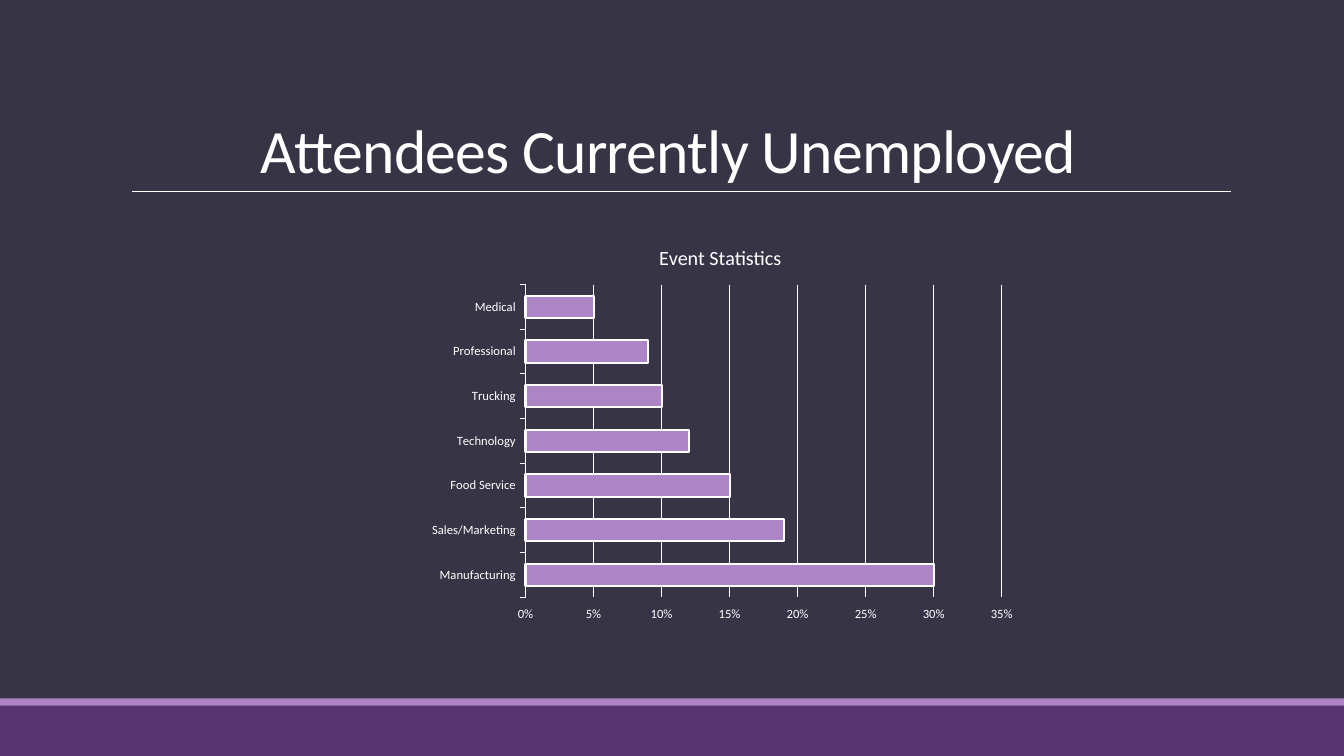
from pptx import Presentation
from pptx import util as u
from pptx.chart.data import CategoryChartData
from pptx.dml.color import RGBColor
from pptx.enum import chart as ch, shapes, text
from pptx.oxml.ns import qn
from lxml import etree

PX = 9525  # EMU per px, slide of 1280 x 720
FONT = "Calibri"
HEX = {"back": "373545", "band": "5A3471", "bar": "AD84C6", "ink": "FFFFFF"}
DATA = {
    "Manufacturing": 0.3,
    "Sales/Marketing": 0.19,
    "Food Service": 0.15,
    "Technology": 0.12,
    "Trucking": 0.1,
    "Professional": 0.09,
    "Medical": 0.05,
}


def px(*sizes):
    return [u.Emu(n * PX) for n in sizes]


def tint(name):
    return RGBColor.from_string(HEX[name])


def paint(fill, name):
    fill.solid()
    fill.fore_color.rgb = tint(name)


def stroke(line, width):
    paint(line.fill, "ink")
    line.width = u.Pt(width)


def assign(item, **values):
    for key, value in values.items():
        setattr(item, key, value)


def style(font, size):
    assign(font, name=FONT, size=u.Pt(size), bold=False)
    font.color.rgb = tint("ink")


def add_band(slide, top, high, name):
    band = slide.shapes.add_shape(
        shapes.MSO_SHAPE.RECTANGLE, *px(0, top, 1280, high))
    band.shadow.inherit = False
    paint(band.fill, name)
    band.line.fill.background()


def add_rule(slide, left, right, top):
    rule = slide.shapes.add_connector(
        shapes.MSO_CONNECTOR.STRAIGHT, *px(left, top, right, top))
    stroke(rule.line, 0.5)
    etree.SubElement(rule._element.spPr, qn("a:effectLst"))


def set_title(slide, words, box):
    title = slide.shapes.title
    assign(title, **dict(zip(("left", "top", "width", "height"), px(*box))))
    frame = title.text_frame
    assign(frame, word_wrap=True, auto_size=text.MSO_AUTO_SIZE.NONE,
           vertical_anchor=text.MSO_ANCHOR.BOTTOM)
    para = frame.paragraphs[0]
    assign(para, alignment=text.PP_ALIGN.CENTER, line_spacing=0.85)
    run = para.add_run()
    run.text = words
    style(run.font, 44)
    run.font._element.set("spc", "-50")


def add_bars(slide, name, data, box):
    source = CategoryChartData(number_format="0%")
    source.categories = list(data)
    source.add_series(name, list(data.values()))
    chart = slide.shapes.add_chart(
        ch.XL_CHART_TYPE.BAR_CLUSTERED, *px(*box), source).chart
    style(chart.font, 10)
    chart.has_legend = False

    # Chart title
    chart.has_title = True
    head = chart.chart_title
    head.include_in_layout = False
    head.text_frame.text = name
    style(head.text_frame.paragraphs[0].runs[0].font, 14.4)

    # Axes
    cats, vals = chart.category_axis, chart.value_axis
    for axis in (cats, vals):
        axis.major_tick_mark = ch.XL_TICK_MARK.OUTSIDE
        style(axis.tick_labels.font, 9)
    stroke(cats.format.line, 0.75)
    vals.format.line.fill.background()
    stroke(vals.major_gridlines.format.line, 0.75)
    assign(vals, minimum_scale=0, maximum_scale=0.35, major_unit=0.05)
    assign(vals.tick_labels, number_format="0%", number_format_is_linked=False)

    # Bars
    plot = chart.plots[0]
    assign(plot, gap_width=100, vary_by_categories=False)
    bars = plot.series[0].format
    paint(bars.fill, "bar")
    stroke(bars.line, 1.5)


def main():
    deck = Presentation()
    deck.slide_width, deck.slide_height = px(1280, 720)
    slide = deck.slides.add_slide(deck.slide_layouts[5])
    paint(slide.background.fill, "back")

    # Footer bands and title rule
    add_band(slide, 672, 48, "band")
    add_band(slide, 665, 7, "bar")
    add_rule(slide, 126, 1172, 182)

    # Content
    set_title(slide, "Attendees Currently Unemployed ", (115, 30, 1056, 152))
    add_bars(slide, "Event Statistics ", DATA, (400, 216, 576, 384))
    deck.save("out.pptx")


if __name__ == "__main__":
    main()
